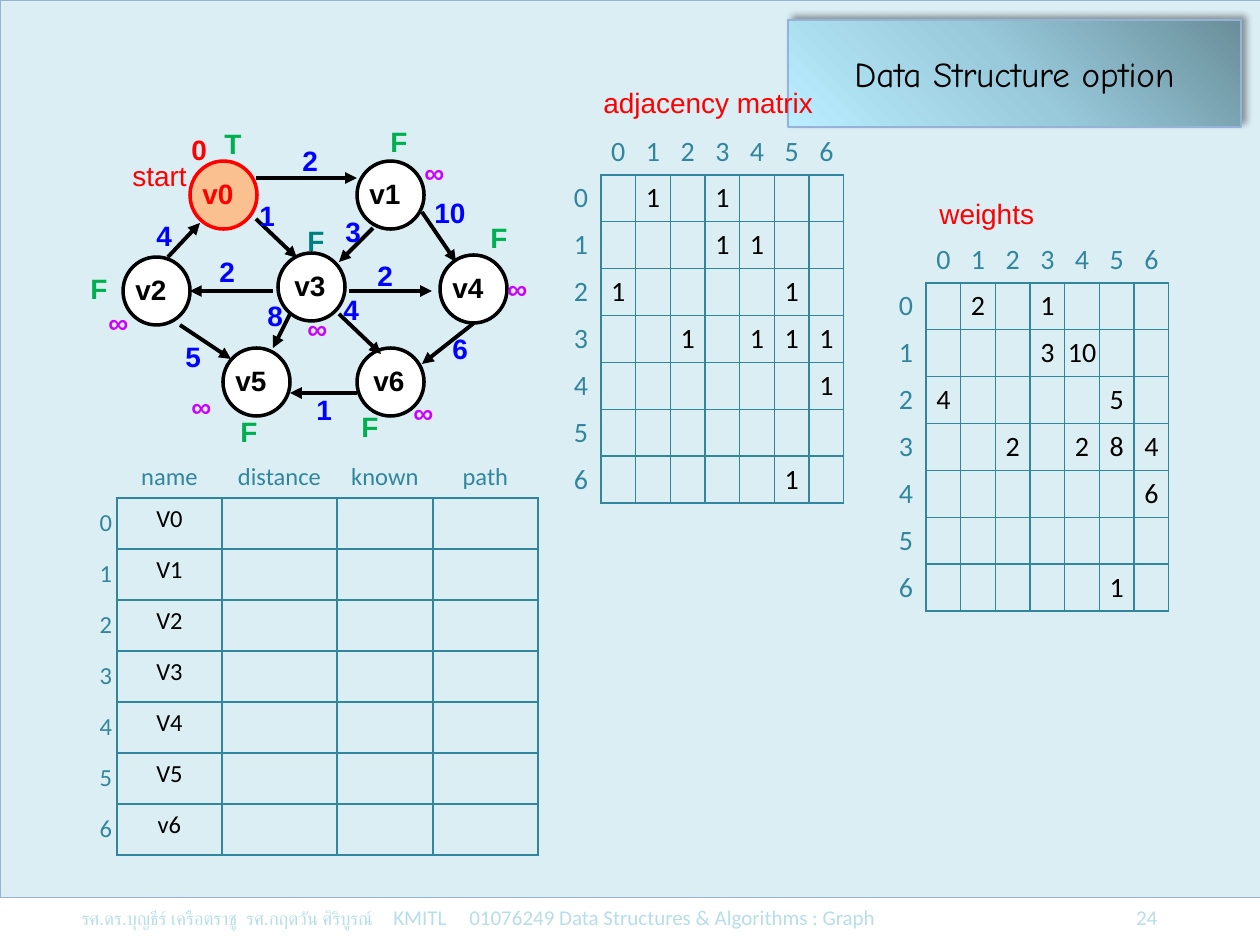
"""Build the slide on data structure options for a weighted directed graph."""
from lxml import etree
from pptx import Presentation, util as u
from pptx.dml.color import RGBColor
from pptx.enum import shapes, text
from pptx.oxml import parse_xml
from pptx.oxml.ns import nsdecls, qn

BLACK = RGBColor(0x00, 0x00, 0x00)
WHITE = RGBColor(0xFF, 0xFF, 0xFF)
RED = RGBColor(0xFF, 0x00, 0x00)
BLUE = RGBColor(0x00, 0x00, 0xFF)
GREEN = RGBColor(0x00, 0xB0, 0x50)
DARK_TEAL = RGBColor(0x00, 0x80, 0x80)
VIOLET = RGBColor(0xCC, 0x00, 0xFF)
ORANGE = RGBColor(0xFA, 0xC0, 0x90)
GRID = RGBColor(0x31, 0x85, 0x9C)
PANEL = RGBColor(0xDB, 0xEE, 0xF4)
PANEL_EDGE = RGBColor(0x95, 0xB3, 0xD7)
FOOT = RGBColor(0xB7, 0xDE, 0xE8)

FOOTER = [
    ("รศ.ดร.บุญธีร์ เครือตราชู  รศ.กฤตวัน ศิริบูรณ์", 10.5, "Arial"),
    ("\tKMITL\t01076249 Data Structures & Algorithms : Graph", 12, "Calibri"),
    ("\t24", 12, "Calibri"),
]
FOOTER_TABS = [(312, "l"), (388, "l"), (1076, "r")]

# name, circle left, circle top, label shift
NODES = [
    ("v0", 190, 161, 0), ("v1", 357, 161, 0), ("v2", 123, 257, 0),
    ("v3", 278, 253, 4), ("v4", 440, 255, 0), ("v5", 223, 348, 0),
    ("v6", 357, 348, 4),
]
# from, to, weight, arrow ends, weight label position
EDGES = [
    (0, 1, 2, (256, 178, 357, 178), (290, 137)),
    (0, 3, 1, (256, 219, 297, 258), (247, 192)),
    (1, 3, 3, (373, 228, 339, 262), (333, 208)),
    (1, 4, 10, (422, 212, 456, 262), (422, 189)),
    (2, 0, 4, (168, 257, 200, 223), (144, 212)),
    (2, 5, 5, (180, 325, 231, 359), (173, 333)),
    (3, 2, 2, (273, 291, 190, 291), (207, 248)),
    (3, 4, 2, (349, 291, 432, 291), (365, 252)),
    (3, 5, 8, (290, 314, 273, 348), (255, 292)),
    (3, 6, 4, (339, 314, 381, 354), (331, 286)),
    (4, 6, 6, (474, 323, 422, 364), (440, 325)),
    (6, 5, 1, (357, 393, 290, 393), (304, 386)),
]
MARKS = [
    ("0", RED, [(179, 126)]),
    ("T", GREEN, [(212, 120)]),
    ("F", GREEN, [(378, 118), (478, 214), (349, 403), (228, 408), (78, 265)]),
    ("F", DARK_TEAL, [(295, 217)]),
    ("∞", VIOLET, [(495, 265), (412, 149), (401, 389), (179, 383), (96, 299), (295, 305)]),
]
CAPTIONS = [("adjacency matrix", 591, 79, 307), ("weights", 927, 190, 258)]
FIELDS = ["name", "distance", "known", "path"]
VERTICES = ["V0", "V1", "V2", "V3", "V4", "V5", "v6"]


def px(n):
    return u.Emu(round(n * 914400 / 126))


def add_run(p, words, size, font, color, bold=False):
    r = p.add_run()
    r.text = words
    r.font.size, r.font.name, r.font.bold = u.Pt(size), font, bold
    r.font.color.rgb = color


def add_label(sps, words, x, y, w, color, bold=True):
    tf = sps.add_textbox(px(x), px(y), px(w), px(40)).text_frame
    tf.word_wrap = True
    add_run(tf.paragraphs[0], words, 16, "Arial", color, bold)


def add_outlined(sps, kind, box, fill, line, width):
    sp = sps.add_shape(kind, *map(px, box))
    sp.shadow.inherit = False
    sp.fill.solid()
    sp.fill.fore_color.rgb = fill
    sp.line.color.rgb = line
    sp.line.width = u.Pt(width)
    return sp


def add_arrow(sps, ends):
    cx = sps.add_connector(shapes.MSO_CONNECTOR.STRAIGHT, *map(px, ends))
    cx.line.color.rgb = BLACK
    cx.line.width = u.Pt(2.25)
    etree.SubElement(cx.line._get_or_add_ln(), qn("a:tailEnd"), type="triangle")
    etree.SubElement(cx.element.spPr, qn("a:effectLst"))


def set_borders(cell, lined):
    tcPr = cell._tc.get_or_add_tcPr()
    for side in "LRTB":
        ln = etree.SubElement(tcPr, qn("a:ln" + side), w=str(u.Pt(1)))
        if side in lined:
            fill = etree.SubElement(ln, qn("a:solidFill"))
            etree.SubElement(fill, qn("a:srgbClr"), val=str(GRID))
        else:
            etree.SubElement(ln, qn("a:noFill"))


def add_grid(s, x, y, widths, row_h, header, body, size, label_gap, anchor):
    rows = [[""] + header] + [[str(i)] + row for i, row in enumerate(body)]
    frame = s.shapes.add_table(len(rows), len(widths), px(x), px(y),
                               px(sum(widths)), px(row_h * len(rows)))
    tbl = frame.table
    tbl.first_row = tbl.horz_banding = False
    for col, w in zip(tbl.columns, widths):
        col.width = px(w)
    for i, row in enumerate(rows):
        tbl.rows[i].height = px(row_h)
        for j, words in enumerate(row):
            cell = tbl.cell(i, j)
            set_borders(cell, "LRTB" if i and j else "B" if j else "R" if i else "")
            cell.fill.background()
            cell.margin_left = 0
            cell.margin_right = px(0 if j else label_gap)
            cell.margin_top = cell.margin_bottom = px(6 if words else 0)
            cell.vertical_anchor = (text.MSO_ANCHOR.BOTTOM if not i else
                                    anchor if j else text.MSO_ANCHOR.MIDDLE)
            if words:
                p = cell.text_frame.paragraphs[0]
                p.alignment = text.PP_ALIGN.CENTER if j else text.PP_ALIGN.RIGHT
                add_run(p, words, size, "Calibri", BLACK if i and j else GRID)


def add_title(s):
    title = s.shapes.title
    title.left, title.top, title.width, title.height = map(px, (788, 20, 453, 107))
    tf = title.text_frame
    tf.vertical_anchor = text.MSO_ANCHOR.MIDDLE
    tf.paragraphs[0].alignment = text.PP_ALIGN.CENTER
    add_run(tf.paragraphs[0], "Data Structure option", 20, "Comic Neue", BLACK)
    stops = "".join(f'<a:gs pos="{pos}000"><a:srgbClr val="{c}"/></a:gs>' for pos, c in
                    [(0, "6A8E9A"), (50, "98CADB"), (100, "B9EDFF")])
    spPr = title.element.spPr
    spPr.append(parse_xml(f'<a:gradFill {nsdecls("a")}><a:gsLst>{stops}</a:gsLst>'
                          '<a:lin ang="8100000" scaled="0"/></a:gradFill>'))
    title.line.color.rgb = PANEL_EDGE
    title.line.width = u.Pt(0.75)
    spPr.append(parse_xml(
        f'<a:effectLst {nsdecls("a")}><a:outerShdw blurRad="{u.Pt(4)}" dist="{u.Pt(3)}" '
        'dir="18900000" algn="bl" rotWithShape="0"><a:srgbClr val="000000">'
        '<a:alpha val="40000"/></a:srgbClr></a:outerShdw></a:effectLst>'))
    return title


def add_footer(s):
    tf = s.shapes.add_textbox(*map(px, (69, 898, 1132, 47))).text_frame
    tf.word_wrap = True
    p = tf.paragraphs[0]
    tabs = etree.SubElement(p._p.get_or_add_pPr(), qn("a:tabLst"))
    for pos, algn in FOOTER_TABS:
        etree.SubElement(tabs, qn("a:tab"), pos=str(px(pos)), algn=algn)
    for words, size, font in FOOTER:
        add_run(p, words, size, font, FOOT)


def add_graph(s):
    sps = s.shapes.add_group_shape().shapes
    for name, x, y, shift in NODES:
        start = name == "v0"
        ink = RED if start else BLACK
        add_outlined(sps, shapes.MSO_SHAPE.OVAL, (x, y, 67, 68),
                     ORANGE if start else WHITE, ink, 2)
        add_label(sps, name, x + shift, y + 9, 67, ink)
    for _, _, weight, ends, (x, y) in EDGES:
        add_arrow(sps, ends)
        add_label(sps, str(weight), x, y, 67 if weight > 9 else 50, BLUE)
    add_label(sps, "start", 120, 152, 100, RED, bold=False)
    for mark, color, places in MARKS:
        for x, y in places:
            add_label(sps, mark, x, y, 50, color)


def main():
    prs = Presentation()
    prs.slide_width, prs.slide_height = px(1260), px(945)
    s = prs.slides.add_slide(prs.slide_layouts[5])
    panel = add_outlined(s.shapes, shapes.MSO_SHAPE.RECTANGLE, (0, 0, 1260, 897),
                         PANEL, PANEL_EDGE, 0.25)
    panel.element.addnext(add_title(s).element)
    add_footer(s)
    add_graph(s)

    n = len(NODES)
    weights = [[""] * n for _ in range(n)]
    for a, b, weight, *_ in EDGES:
        weights[a][b] = str(weight)
    adjacency = [["1" if w else "" for w in row] for row in weights]
    header = [str(i) for i in range(n)]
    middle, top = text.MSO_ANCHOR.MIDDLE, text.MSO_ANCHOR.TOP
    for x, y, body in [(561, 128, adjacency), (886, 236, weights)]:
        add_grid(s, x, y, [40] + [243 / n] * n, 46.9, header, body, 16, 13, middle)
    add_grid(s, 88, 447, [29, 105, 115, 96, 105], 51, FIELDS,
             [[v, "", "", ""] for v in VERTICES], 14, 5, top)
    for words, x, y, w in CAPTIONS:
        add_label(s.shapes, words, x, y, w, RED, bold=False)
    prs.save("out.pptx")


if __name__ == "__main__":
    main()
